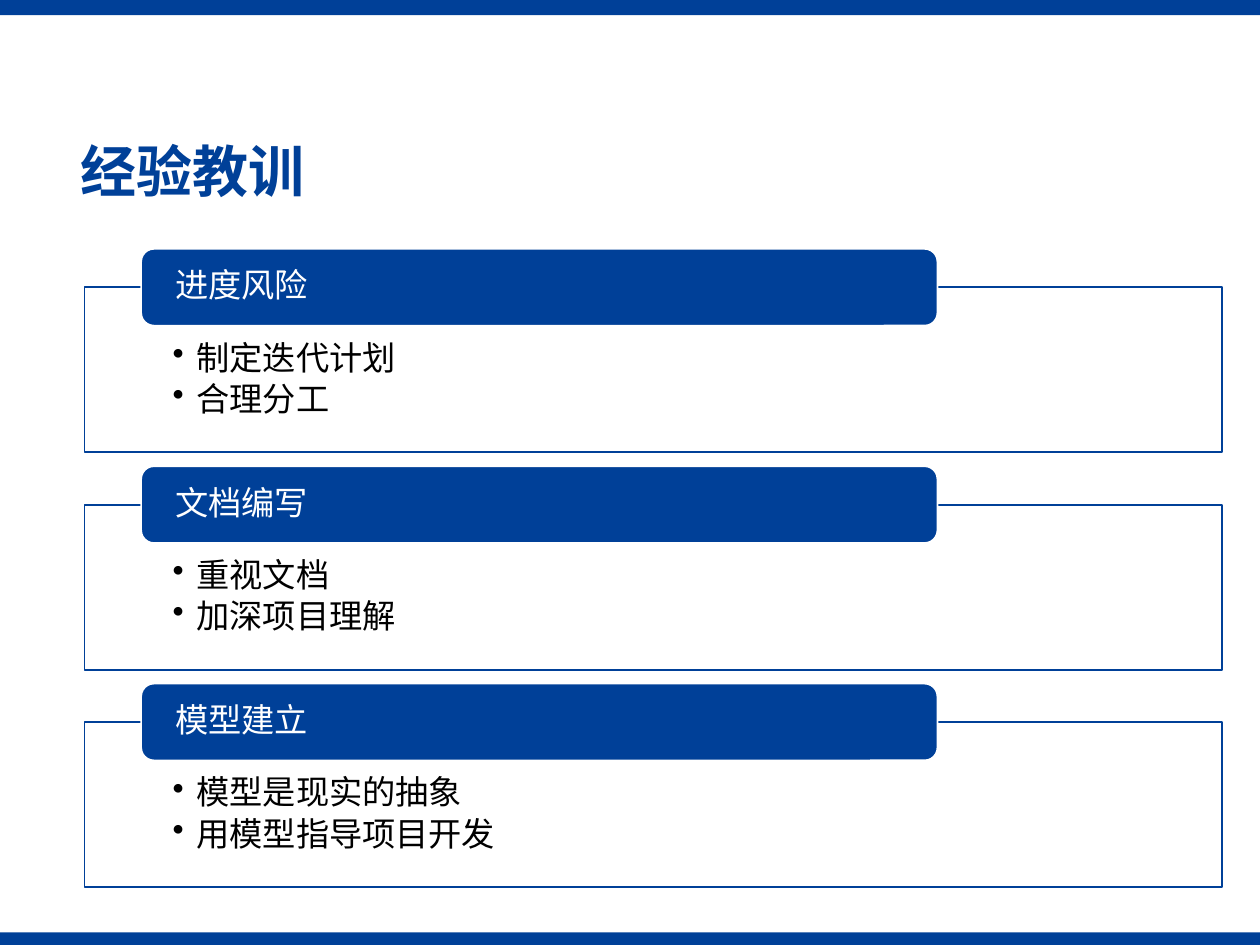
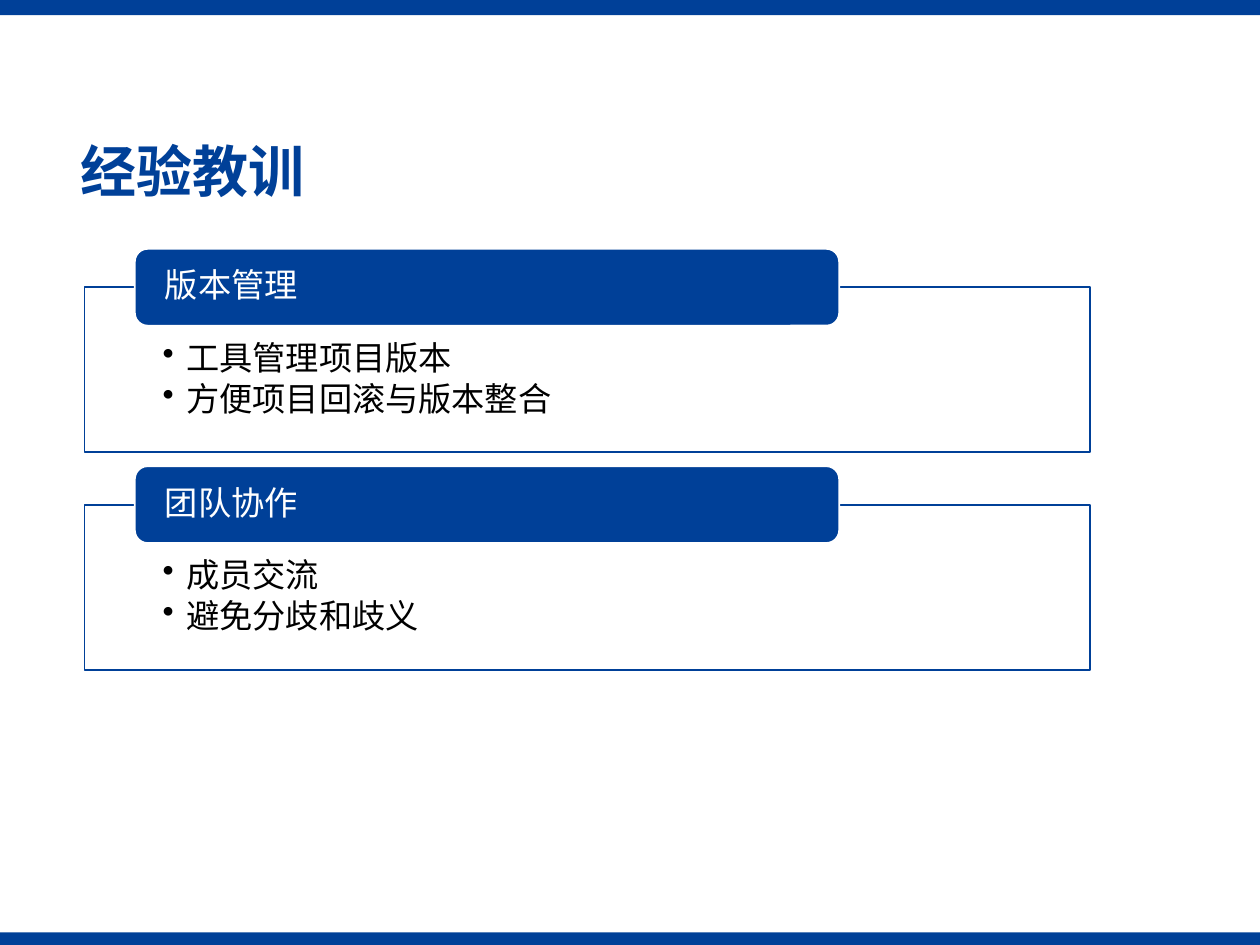
from dataclasses import dataclass

from lxml import etree
from pptx import Presentation
from pptx.dml.color import RGBColor
from pptx.enum.shapes import MSO_SHAPE
from pptx.enum.text import MSO_ANCHOR, PP_ALIGN
from pptx.oxml.ns import qn
from pptx.util import Inches, Pt

RECTANGLE, ROUNDED = MSO_SHAPE.RECTANGLE, MSO_SHAPE.ROUNDED_RECTANGLE
TOP, MIDDLE = MSO_ANCHOR.TOP, MSO_ANCHOR.MIDDLE
LEFT = PP_ALIGN.LEFT
TITLE_ONLY = 5


@dataclass(frozen=True)
class Theme:
    """Colours, typeface and type sizes shared by the slides."""

    blue: RGBColor = RGBColor(0x00, 0x40, 0x98)
    white: RGBColor = RGBColor(0xFF, 0xFF, 0xFF)
    black: RGBColor = RGBColor(0x00, 0x00, 0x00)
    font: str = "Noto Sans CJK SC"
    title_size: int = 32
    lesson_size: int = 19
    line_spacing: float = 0.9
    frame_opacity: int = 90


@dataclass(frozen=True)
class LessonStyle:
    """Horizontal measures of a stack of lessons, in inches."""

    frame_width: float
    header_left: float
    header_width: float
    header_inset: float
    list_inset: float


THEME = Theme()
SLIDE_WIDTH, SLIDE_HEIGHT = 10, 7.5
TITLE = "经验教训"
FRAME_LEFT, FRAME_TOP, FRAME_HEIGHT = 0.67, 2.28, 1.31
LESSON_PITCH = 1.725
HEADER_RISE, HEADER_HEIGHT = 0.305, 0.61
BULLET_INDENT = 0.19

SLIDES = [
    (
        LessonStyle(9.03, 1.12, 6.32, 0.24, 0.7),
        [
            ("进度风险", ["制定迭代计划", "合理分工"]),
            ("文档编写", ["重视文档", "加深项目理解"]),
            ("模型建立", ["模型是现实的抽象", "用模型指导项目开发"]),
        ],
    ),
    (
        LessonStyle(7.98, 1.07, 5.59, 0.21, 0.62),
        [
            ("版本管理", ["工具管理项目版本", "方便项目回滚与版本整合"]),
            ("团队协作", ["成员交流", "避免分歧和歧义"]),
        ],
    ),
]


def apply_format(target, values):
    """Set each named attribute of the target."""
    for name, value in values.items():
        setattr(target, name, value)


def place(shape, left, top, width, height):
    """Move and size a shape in inches."""
    apply_format(shape, {
        "left": Inches(left), "top": Inches(top),
        "width": Inches(width), "height": Inches(height),
    })


def add_block(slide, kind, box, fill, line=None):
    """Add a flat filled shape, outlined when a line colour is given."""
    block = slide.shapes.add_shape(kind, *map(Inches, box))
    block.shadow.inherit = False
    block.fill.solid()
    block.fill.fore_color.rgb = fill
    if line is None:
        block.line.fill.background()
    else:
        block.line.color.rgb = line
        block.line.width = Pt(1)
    return block


def set_opacity(shape, percent):
    """Make the solid fill of a shape partly transparent."""
    colour = shape.element.spPr.find(qn("a:solidFill"))[0]
    etree.SubElement(colour, qn("a:alpha"), val=str(percent * 1000))


def write_lines(frame, lines, size, colour, bold=False, space_after=0):
    """Write left-aligned paragraphs in the shared typeface."""
    frame.text = "\n".join(lines)
    for paragraph in frame.paragraphs:
        apply_format(paragraph, {
            "alignment": LEFT, "line_spacing": THEME.line_spacing,
            "space_before": Pt(0), "space_after": Pt(space_after),
        })
        for run in paragraph.runs:
            apply_format(run.font, {"name": THEME.font, "size": Pt(size), "bold": bold})
            run.font.color.rgb = colour
            latin = run.font._element.find(qn("a:latin"))
            latin.addnext(latin.makeelement(qn("a:ea"), {"typeface": THEME.font}))


def add_bullets(frame):
    """Give every paragraph a hanging round bullet."""
    for paragraph in frame.paragraphs:
        properties = paragraph._p.get_or_add_pPr()
        properties.set("marL", str(Inches(BULLET_INDENT)))
        properties.set("indent", str(-Inches(BULLET_INDENT)))
        etree.SubElement(properties, qn("a:buChar"), char="•")


def set_insets(frame, side, top, bottom, anchor):
    """Set the margins and the vertical anchor of a text frame."""
    apply_format(frame, {
        "margin_left": Inches(side), "margin_right": Inches(side),
        "margin_top": Inches(top), "margin_bottom": Inches(bottom),
        "vertical_anchor": anchor, "word_wrap": True,
    })


def move_bands_to_layout(slide):
    """Put the top and bottom bands on the layout used by the slide."""
    for top, height in ((7.4, 0.1), (0, 0.12)):
        band = add_block(slide, RECTANGLE, (0, top, SLIDE_WIDTH, height), THEME.blue)
        slide.slide_layout.shapes.element.append(band.element)


def add_title(slide):
    """Fill the title placeholder."""
    title = slide.shapes.title
    place(title, 0.54, 1.07, 9.16, 0.63)
    title.text_frame.vertical_anchor = MIDDLE
    write_lines(title.text_frame, [TITLE], THEME.title_size, THEME.blue, bold=True)


def add_lesson(slide, style, top, heading, points):
    """Add a framed list with its heading set over the top edge."""
    frame_box = (FRAME_LEFT, top, style.frame_width, FRAME_HEIGHT)
    frame = add_block(slide, RECTANGLE, frame_box, THEME.white, THEME.blue)
    set_opacity(frame, THEME.frame_opacity)
    set_insets(frame.text_frame, style.list_inset, 0.43, 0.15, TOP)
    write_lines(frame.text_frame, points, THEME.lesson_size, THEME.black, space_after=3)
    add_bullets(frame.text_frame)

    header_box = (style.header_left, top - HEADER_RISE, style.header_width, HEADER_HEIGHT)
    header = add_block(slide, ROUNDED, header_box, THEME.blue, THEME.white)
    set_insets(header.text_frame, style.header_inset, 0, 0, MIDDLE)
    write_lines(header.text_frame, [heading], THEME.lesson_size, THEME.white)


def main():
    """Build the lessons slides and save them."""
    presentation = Presentation()
    apply_format(presentation, {
        "slide_width": Inches(SLIDE_WIDTH), "slide_height": Inches(SLIDE_HEIGHT),
    })
    layout = presentation.slide_layouts[TITLE_ONLY]
    for number, (style, lessons) in enumerate(SLIDES):
        slide = presentation.slides.add_slide(layout)
        if number == 0:
            move_bands_to_layout(slide)
        add_title(slide)
        for row, (heading, points) in enumerate(lessons):
            add_lesson(slide, style, FRAME_TOP + row * LESSON_PITCH, heading, points)
    presentation.save("out.pptx")


if __name__ == "__main__":
    main()
